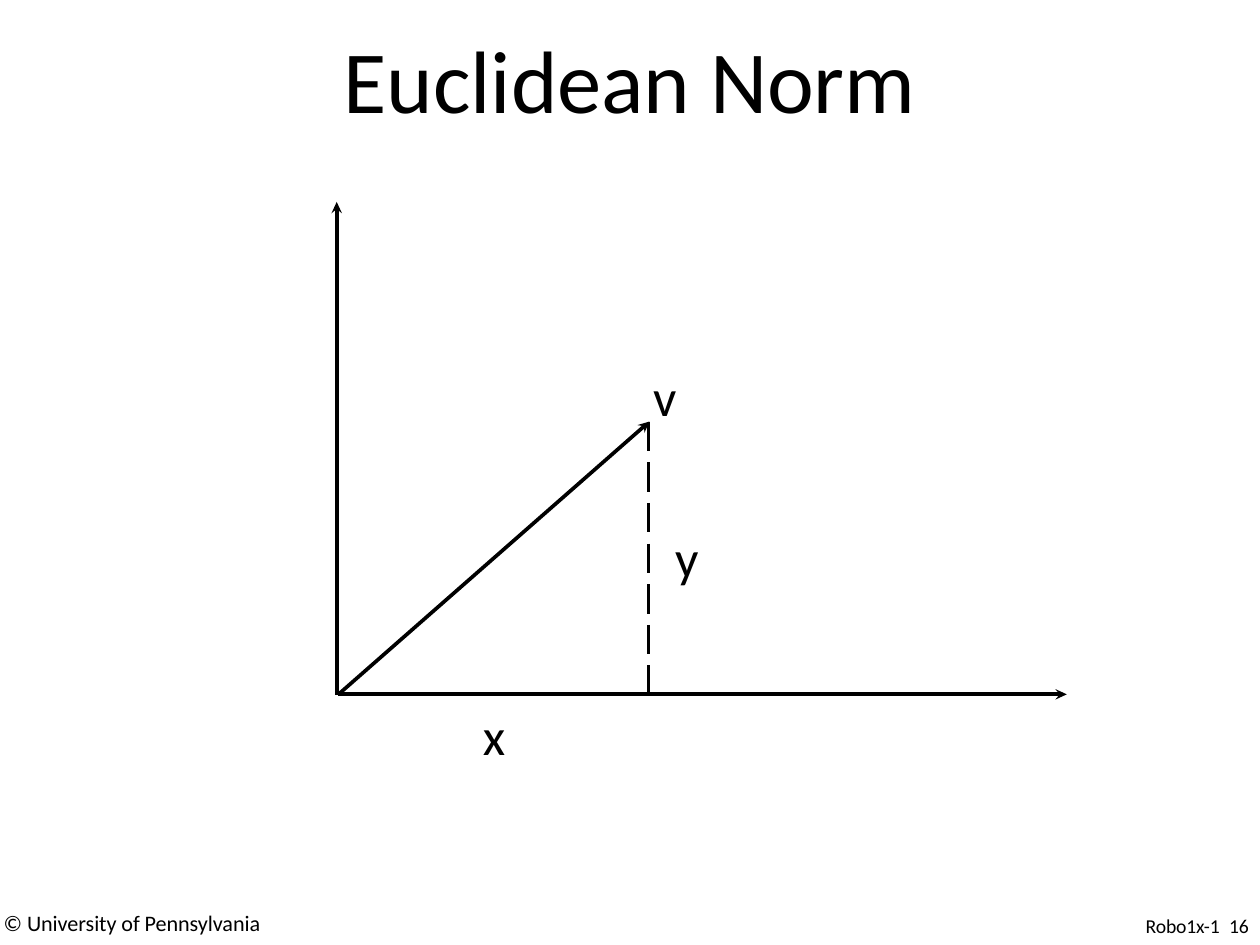
import math

import pptx
import pptx.util
import pptx.dml.color
import pptx.enum.dml
import pptx.enum.shapes
import pptx.enum.text
import pptx.oxml.ns
from lxml import etree

Inches, Pt = pptx.util.Inches, pptx.util.Pt
qn = pptx.oxml.ns.qn

COLORS = {"ink": "000000", "paper": "FFFFFF"}
FONT = "Calibri"

# Each text is a list of spans: wording and letter spacing in 1/100 pt
TITLE = [("Euclidean Norm", -10)]
TITLE_AREA = (3.88, 0.28, 8.38, 1.26)

ORIGIN = (3.82, 7.84)
AXIS_X = 3.8
TIP = (7.33, 4.76)
DASH_X = 7.32

ARROWS = [
    ((AXIS_X, 7.85), (AXIS_X, 2.28)),
    (ORIGIN, (12.04, ORIGIN[1])),
    (ORIGIN, TIP),
]
HEAD_LENGTH, HEAD_HALF_WIDTH, HEAD_NOTCH = 0.13, 0.06, 0.08

# spans, left, top, width, height, size, exact line spacing
TEXTS = [
    ([("v", 0)], 7.37, 4.12, 0.4, 0.71, 42, None),
    ([("y", 0)], 7.62, 5.94, 0.4, 0.71, 42, None),
    ([("x", 0)], 5.45, 7.95, 0.4, 0.71, 42, None),
    ([("© ", 0), ("University of Pennsylvania", -5)],
     0.04, 10.32, 3.2, 0.28, 18, 18.1),
    ([("Robo1x-1", -10), (" ", 400), ("16", -10)],
     12.93, 10.36, 1.25, 0.25, 16, 16.1),
]


def color(name):
    return pptx.dml.color.RGBColor.from_string(COLORS[name])


def fill_text(box, spans, size, line_spacing=None):
    """Write one left-aligned line into a box without margins."""
    frame = box.text_frame
    frame.word_wrap = True
    frame.auto_size = pptx.enum.text.MSO_AUTO_SIZE.NONE
    frame.vertical_anchor = pptx.enum.text.MSO_ANCHOR.TOP
    frame.margin_left = frame.margin_right = 0
    frame.margin_top = frame.margin_bottom = 0
    para = frame.paragraphs[0]
    para.alignment = pptx.enum.text.PP_ALIGN.LEFT
    if line_spacing:
        para.line_spacing = Pt(line_spacing)
    for text, letter_spacing in spans:
        span = para.add_run()
        span.text = text
        span.font.name = FONT
        span.font.size = Pt(size)
        span.font.color.rgb = color("ink")
        if letter_spacing:
            span.font._element.set("spc", str(letter_spacing))


def draw_line(page, start, end):
    line = page.shapes.add_connector(
        pptx.enum.shapes.MSO_CONNECTOR.STRAIGHT,
        *[Inches(value) for value in start + end])
    line.line.color.rgb = color("ink")
    line.line.width = Pt(3)
    etree.SubElement(line._element.spPr, qn("a:effectLst"))
    return line


def draw_arrow(page, start, end):
    """Draw a shaft up to the notch of a swept-back head."""
    length = math.dist(start, end)
    across, down = [(b - a) / length for a, b in zip(start, end)]

    def behind_tip(back, side):
        return (end[0] - back * across - side * down,
                end[1] - back * down + side * across)

    notch = behind_tip(HEAD_NOTCH, 0)
    draw_line(page, start, notch)
    outline = [end, behind_tip(HEAD_LENGTH, HEAD_HALF_WIDTH), notch,
               behind_tip(HEAD_LENGTH, -HEAD_HALF_WIDTH)]
    points = [(Inches(x), Inches(y)) for x, y in outline]
    builder = page.shapes.build_freeform(*points[0])
    builder.add_line_segments(points[1:], close=True)
    head = builder.convert_to_shape()
    head.shadow.inherit = False
    head.fill.solid()
    head.fill.fore_color.rgb = color("ink")
    head.line.fill.background()


def main():
    deck = pptx.Presentation()
    deck.slide_width, deck.slide_height = Inches(14.22), Inches(10.67)
    page = deck.slides.add_slide(deck.slide_layouts[5])
    page.background.fill.solid()
    page.background.fill.fore_color.rgb = color("paper")

    title = page.shapes.title
    title.left, title.top, title.width, title.height = map(Inches, TITLE_AREA)
    fill_text(title, TITLE, 72)

    for start, end in ARROWS:
        draw_arrow(page, start, end)
    height_line = draw_line(page, (DASH_X, TIP[1]), (DASH_X, ORIGIN[1]))
    height_line.line.dash_style = pptx.enum.dml.MSO_LINE.LONG_DASH

    for spans, left, top, width, height, *style in TEXTS:
        box = page.shapes.add_textbox(*map(Inches, (left, top, width, height)))
        fill_text(box, spans, *style)

    deck.save("out.pptx")


if __name__ == "__main__":
    main()
